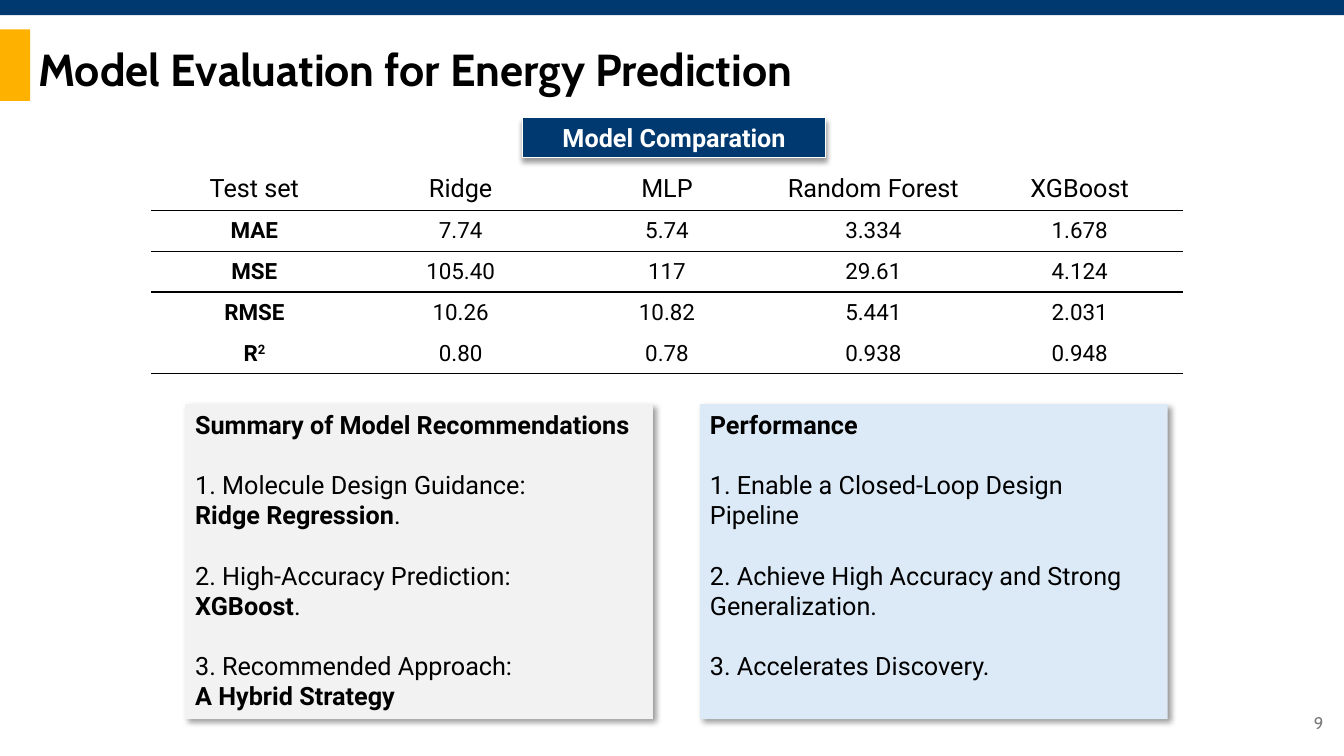
"""Build the slide on model evaluation for energy prediction."""
from dataclasses import dataclass

from lxml import etree
from pptx import Presentation, util as u
from pptx.dml.color import RGBColor
from pptx.enum import shapes, text
from pptx.oxml import parse_xml
from pptx.oxml.ns import nsdecls, qn


@dataclass(frozen=True)
class Theme:
    """Colours, fonts and type sizes of the slide."""
    navy: str = "003870"
    amber: str = "FFB100"
    black: str = "000000"
    white: str = "FFFFFF"
    grey: str = "797979"
    pale_grey: str = "F2F2F2"
    pale_blue: str = "DCEAF7"
    head: str = "Cabin"
    body: str = "Roboto"
    title_size: int = 32
    text_size: int = 18
    cell_size: int = 16
    number_size: int = 12


T = Theme()
Pt = u.Pt


def add_box(left, top, width, height, fill, shadow_angle=None):
    """Add a filled rectangle without outline, with a soft shadow if an angle is given."""
    sp = s.shapes.add_shape(shapes.MSO_SHAPE.RECTANGLE, Pt(left), Pt(top), Pt(width), Pt(height))
    sp.fill.solid()
    sp.fill.fore_color.rgb = RGBColor.from_string(fill)
    sp.line.fill.background()
    sp.shadow.inherit = False
    if shadow_angle is not None:
        effects = sp._element.spPr.find(qn("a:effectLst"))
        effects.append(parse_xml(
            f'<a:outerShdw {nsdecls("a")} blurRad="{Pt(4)}" dist="{Pt(3)}" '
            f'dir="{shadow_angle * 60000}" algn="t" rotWithShape="0">'
            f'<a:srgbClr val="{T.black}"><a:alpha val="40000"/></a:srgbClr></a:outerShdw>'))
    return sp


def style(p, size, color=T.black, bold=False, font=T.body, align=text.PP_ALIGN.LEFT):
    """Align a paragraph and format all its runs."""
    p.alignment = align
    for r in p.runs:
        r.font.name = font
        r.font.size = Pt(size)
        r.font.bold = bold
        r.font.color.rgb = RGBColor.from_string(color)


prs = Presentation()
prs.slide_width, prs.slide_height = Pt(960), Pt(540)
s = prs.slides.add_slide(prs.slide_layouts[5])

add_box(0, 21, 21.5, 51, T.amber)
add_box(0, 0, 960, 10.8, T.navy)

title = s.shapes.title
title.left, title.top, title.width, title.height = Pt(20), Pt(26), Pt(796), Pt(45.5)
tf = title.text_frame
tf.text = "Model Evaluation for Energy Prediction"
tf.vertical_anchor = text.MSO_ANCHOR.MIDDLE
style(tf.paragraphs[0], T.title_size, bold=True, font=T.head)

number = s.shapes.add_textbox(Pt(736.5), Pt(502), Pt(216), Pt(28.8))
tf = number.text_frame
tf.word_wrap = True
tf.vertical_anchor = text.MSO_ANCHOR.MIDDLE
tf.text = "9"
style(tf.paragraphs[0], T.number_size, T.grey, font=T.head, align=text.PP_ALIGN.RIGHT)

scores = [
    ["Test set", "Ridge", "MLP", "Random Forest", "XGBoost"],
    ["MAE", "7.74", "5.74", "3.334", "1.678"],
    ["MSE", "105.40", "117", "29.61", "4.124"],
    ["RMSE", "10.26", "10.82", "5.441", "2.031"],
    ["R", "0.80", "0.78", "0.938", "0.948"],
]
ruled_rows = {0, 1, 4}
frame = s.shapes.add_table(5, 5, Pt(108), Pt(121), Pt(737), Pt(146))
table = frame.table
table.first_row = table.horz_banding = False
no_grid_style = "{2D5ABB26-0587-4C30-8999-92F81FD0307C}"
next(frame._element.iter(qn("a:tableStyleId"))).text = no_grid_style
for i, row in enumerate(scores):
    table.rows[i].height = Pt(29.2)
    for j, value in enumerate(row):
        cell = table.cell(i, j)
        p = cell.text_frame.paragraphs[0]
        p.text = value
        if value == "R":
            r = p.add_run()
            r.text = "2"
            r._r.get_or_add_rPr().set("baseline", "30000")
        style(p, T.cell_size if i else T.text_size, bold=i > 0 and j == 0,
              align=text.PP_ALIGN.CENTER)
        if i:
            cell.vertical_anchor = text.MSO_ANCHOR.MIDDLE
            cell.margin_left = cell.margin_right = cell.margin_top = Pt(0.7)
            cell.margin_bottom = 0
        edges = {"a:lnT": i - 1 in ruled_rows, "a:lnB": i in ruled_rows}
        for tag, ruled in edges.items():
            if ruled:
                ln = etree.SubElement(cell._tc.get_or_add_tcPr(), qn(tag), w=str(Pt(1)))
                fill = etree.SubElement(ln, qn("a:solidFill"))
                etree.SubElement(fill, qn("a:srgbClr"), val=T.black)
        cell.fill.background()

banner = add_box(373, 84.2, 217, 28.5, T.navy, 90)
banner.line.color.rgb = RGBColor.from_string(T.white)
banner.line.width = Pt(0.75)
tf = banner.text_frame
tf.text = "Model Comparation"
tf.vertical_anchor = text.MSO_ANCHOR.MIDDLE
style(tf.paragraphs[0], T.text_size, T.white, bold=True, align=text.PP_ALIGN.CENTER)

panels = [
    (132.3, T.pale_grey, "Summary of Model Recommendations", [
        ("1. Molecule Design Guidance:", "Ridge Regression", "."),
        ("2. High-Accuracy Prediction:", "XGBoost", "."),
        ("3. Recommended Approach:", "A Hybrid Strategy", ""),
    ]),
    (500, T.pale_blue, "Performance", [
        ("1. Enable a Closed-Loop Design Pipeline", "", ""),
        ("2. Achieve High Accuracy and Strong Generalization.", "", ""),
        ("3. Accelerates Discovery.", "", ""),
    ]),
]
for left, fill, heading, points in panels:
    tf = add_box(left, 288.7, 334, 225, fill, 45).text_frame
    tf.word_wrap = True
    tf.vertical_anchor = text.MSO_ANCHOR.TOP
    tf.text = heading
    style(tf.paragraphs[0], T.text_size, bold=True)
    for lead, answer, tail in points:
        p = tf.add_paragraph()
        p.text = lead
        p.space_before = Pt(21.5)
        style(p, T.text_size)
        if answer:
            p = tf.add_paragraph()
            p.text = answer
            if tail:
                p.add_run().text = tail
            style(p, T.text_size)
            p.runs[0].font.bold = True

prs.save("out.pptx")
